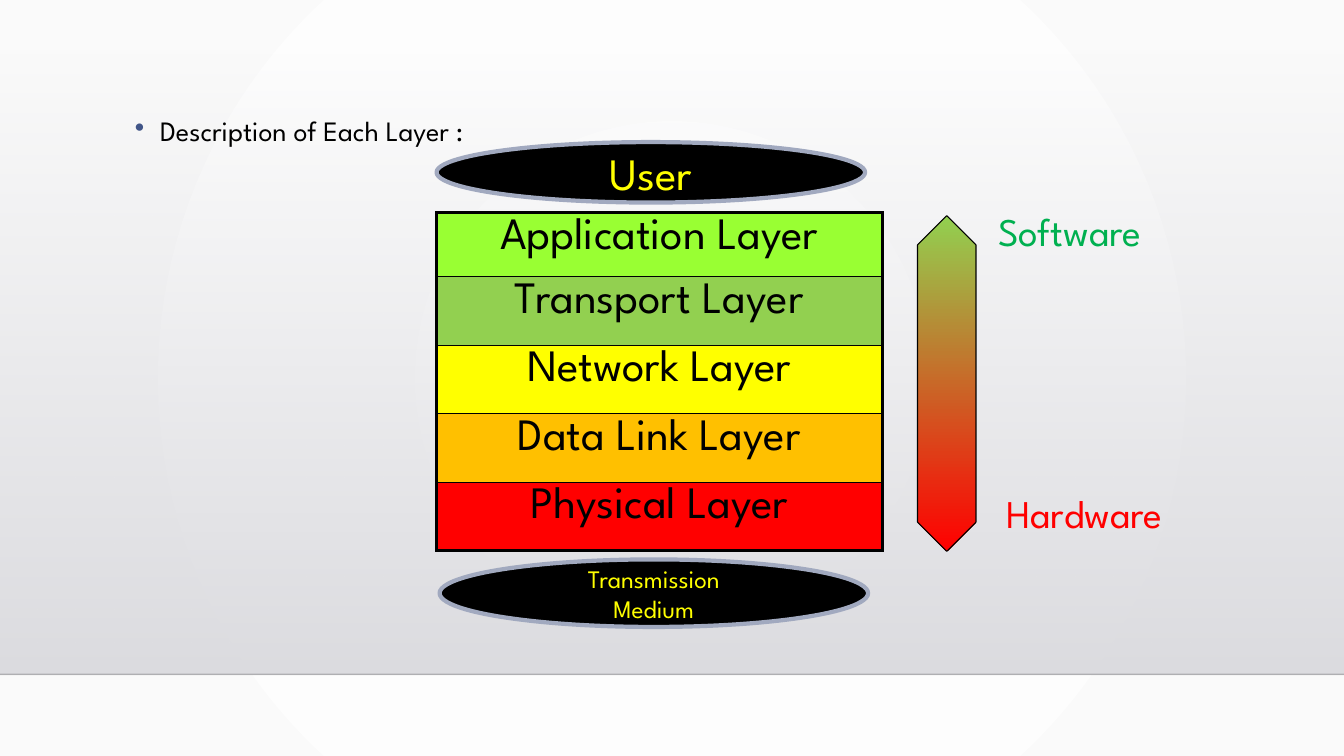
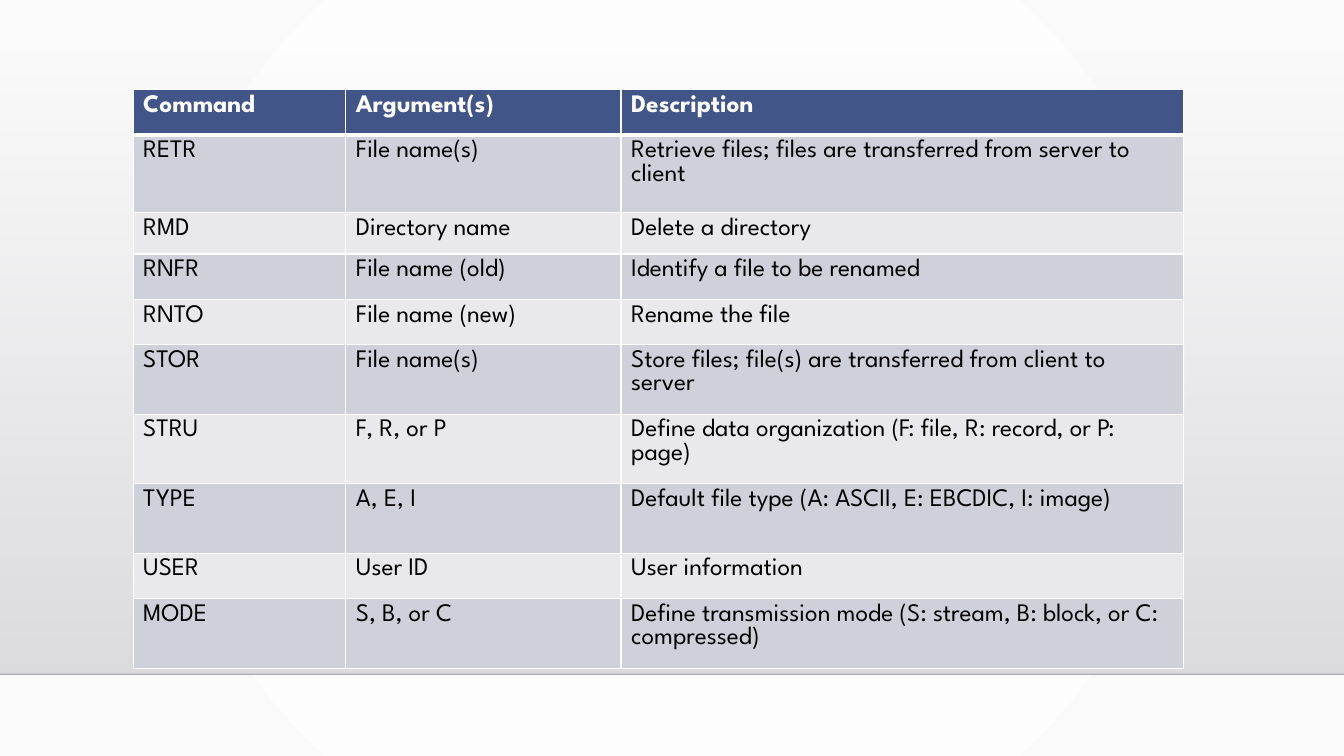
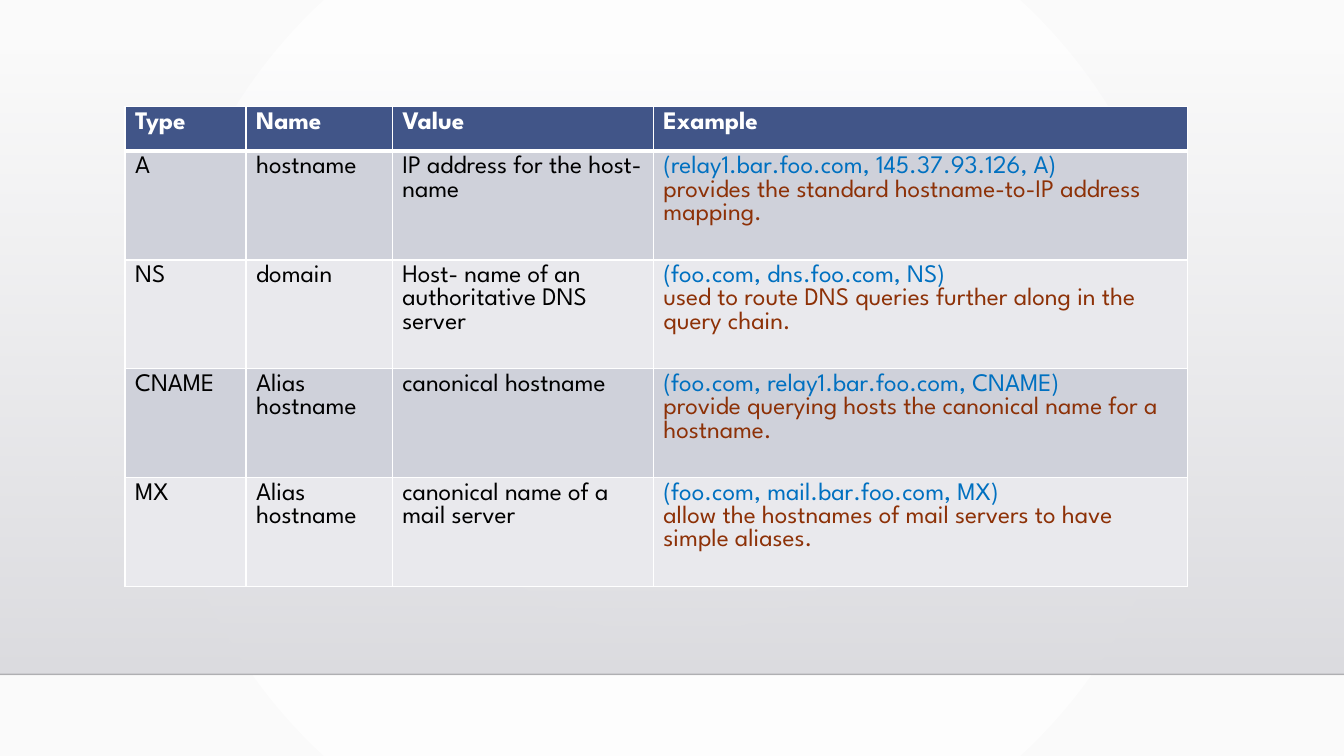
from dataclasses import dataclass
from typing import Any, NamedTuple, Optional

from lxml.etree import SubElement
from pptx import Presentation
from pptx.dml.color import RGBColor
from pptx.enum.shapes import MSO_CONNECTOR, MSO_SHAPE
from pptx.enum.text import MSO_ANCHOR, MSO_AUTO_SIZE, PP_ALIGN
from pptx.oxml import parse_xml
from pptx.oxml.ns import nsdecls, qn
from pptx.util import Emu, Pt


@dataclass(frozen=True)
class Theme:
    font: str = "League Spartan"
    black: str = "000000"
    white: str = "FFFFFF"
    page_edge: str = "FAFAFA"
    band_top: str = "DCDCE0"
    band_bottom: str = "DEDEE2"
    rule: str = "000001"
    accent: str = "415588"
    outline: str = "A1A9BF"
    odd_row: str = "CFD1DA"
    even_row: str = "E9E9ED"
    yellow: str = "FFFF00"
    green: str = "92D050"
    red: str = "FF0000"
    software: str = "00B050"
    record: str = "0070C0"
    remark: str = "8D3107"
    large: int = 32
    label: int = 28
    heading: int = 20
    body: int = 18


THEME = Theme()
EMU_PER_PX = 9144  # 100 px to the inch
SLIDE_WIDTH, SLIDE_HEIGHT = 1333, 750


class Box(NamedTuple):
    left: int
    top: int
    width: int
    height: int


class Stop(NamedTuple):
    position: int
    color: str
    opacity: int = 100


class Layer(NamedTuple):
    name: str
    color: str
    height: int


class Endpoint(NamedTuple):
    text: str
    box: Box
    size: int


class Label(NamedTuple):
    text: str
    box: Box
    color: str


class Column(NamedTuple):
    header: str
    width: int
    colors: tuple[str, ...] = (THEME.black,)  # one per paragraph


class Row(NamedTuple):
    height: int
    values: tuple[str, ...]


class Edges(NamedTuple):
    left: float
    right: float
    top: float
    bottom: float


def px(length: int) -> Emu:
    return Emu(length * EMU_PER_PX)


def place(box: Box) -> tuple[Emu, ...]:
    return tuple(px(length) for length in box)


def rgb(color: str) -> RGBColor:
    return RGBColor.from_string(color)


# Text and fills
def write(paragraph: Any, text: str, size: int, color: str, bold: bool = False,
          align: PP_ALIGN = PP_ALIGN.LEFT) -> None:
    paragraph.text = text
    paragraph.alignment = align
    font_format = {"name": THEME.font, "size": Pt(size), "bold": bold}
    for run in paragraph.runs:
        for name, value in font_format.items():
            setattr(run.font, name, value)
        run.font.color.rgb = rgb(color)


def fill_gradient(fill: Any, element: Any, stops: list[Stop], radial: bool = False) -> None:
    fill.gradient()
    gradient = next(element.iter(qn("a:gradFill")))
    for child in list(gradient):
        gradient.remove(child)
    stop_list = SubElement(gradient, qn("a:gsLst"))
    for stop in stops:
        entry = SubElement(stop_list, qn("a:gs"), pos=str(stop.position * 1000))
        color = SubElement(entry, qn("a:srgbClr"), val=stop.color)
        if stop.opacity < 100:
            SubElement(color, qn("a:alpha"), val=str(stop.opacity * 1000))
    if radial:
        circle = SubElement(gradient, qn("a:path"), {"path": "circle"})
        SubElement(circle, qn("a:fillToRect"), {side: "50000" for side in "ltrb"})
    else:
        SubElement(gradient, qn("a:lin"), ang="5400000", scaled="0")


def add_plain_shape(slide: Any, kind: MSO_SHAPE, box: Box) -> Any:
    shape = slide.shapes.add_shape(kind, *place(box))
    shape.shadow.inherit = False
    return shape


# Shared backdrop: radial page, grey band and the rule under it
def add_slide(presentation: Any) -> Any:
    slide = presentation.slides.add_slide(presentation.slide_layouts[6])
    fill_gradient(slide.background.fill, slide.element,
                  [Stop(0, THEME.white), Stop(100, THEME.page_edge)], radial=True)
    band = Box(0, 51, SLIDE_WIDTH, 618)
    shape = add_plain_shape(slide, MSO_SHAPE.RECTANGLE, band)
    fill_gradient(shape.fill, shape.element,
                  [Stop(0, THEME.band_top, 0), Stop(100, THEME.band_bottom)])
    shape.line.fill.background()

    rule_y = px(band.top + band.height)
    rule = slide.shapes.add_connector(MSO_CONNECTOR.STRAIGHT, 0, rule_y, px(SLIDE_WIDTH), rule_y)
    rule.line.width = Pt(1)
    rule.line.color.rgb = rgb(THEME.rule)
    SubElement(next(rule.element.iter(qn("a:srgbClr"))), qn("a:alpha"), val="20000")
    SubElement(rule.element.spPr, qn("a:effectLst"))
    return slide


# Tables
def set_borders(cell: Any, edges: Edges, color: str) -> None:
    properties = cell._tc.get_or_add_tcPr()
    for index, (side, width) in enumerate(zip("LRTB", edges)):
        properties.insert(index, parse_xml(
            f'<a:ln{side} {nsdecls("a")} w="{Pt(width)}"><a:solidFill>'
            f'<a:srgbClr val="{color}"/></a:solidFill></a:ln{side}>'))


def fill_cell(cell: Any, color: str) -> None:
    cell.fill.solid()
    cell.fill.fore_color.rgb = rgb(color)


def add_grid(slide: Any, left: int, top: int, widths: list[int], heights: list[int]) -> Any:
    box = Box(left, top, sum(widths), sum(heights))
    table = slide.shapes.add_table(len(heights), len(widths), *place(box)).table
    table.first_row = table.horz_banding = False
    for column, width in zip(table.columns, widths):
        column.width = px(width)
    for row, height in zip(table.rows, heights):
        row.height = px(height)
    return table


def add_data_table(slide: Any, left: int, top: int, header_height: int,
                   columns: list[Column], rows: list[Row]) -> None:
    header = Row(header_height, tuple(column.header for column in columns))
    all_rows = [header, *rows]
    table = add_grid(slide, left, top, [column.width for column in columns],
                     [row.height for row in all_rows])
    for row_index, row in enumerate(all_rows):
        is_header = row_index == 0
        band = THEME.odd_row if row_index % 2 else THEME.even_row
        edges = Edges(1, 1, 3 if row_index == 1 else 1, 3 if is_header else 1)
        for column_index, (column, value) in enumerate(zip(columns, row.values)):
            cell = table.cell(row_index, column_index)
            fill_cell(cell, THEME.accent if is_header else band)
            set_borders(cell, edges, THEME.white)
            cell.text = value
            for index, paragraph in enumerate(cell.text_frame.paragraphs):
                color = THEME.white if is_header else column.colors[index]
                write(paragraph, paragraph.text, THEME.body, color, bold=is_header)


# Slide 1: the layer stack
LAYERS = [
    Layer("Application Layer", "99FF33", 57),
    Layer("Transport Layer", THEME.green, 68),
    Layer("Network Layer", THEME.yellow, 68),
    Layer("Data Link Layer", "FFC000", 68),
    Layer("Physical Layer", THEME.red, 68),
]
ENDPOINTS = [
    Endpoint("User", Box(433, 141, 425, 60), THEME.large),
    Endpoint("Transmission\nMedium", Box(436, 555, 425, 67), THEME.body),
]
LABELS = [
    Label("Hardware", Box(988, 481, 209, 57), THEME.red),
    Label("Software", Box(980, 201, 188, 57), THEME.software),
]


def add_text_box(slide: Any, box: Box, wrap: bool, grow: bool = False) -> Any:
    frame = slide.shapes.add_textbox(*place(box)).text_frame
    frame.word_wrap = wrap
    if grow:
        frame.auto_size = MSO_AUTO_SIZE.SHAPE_TO_FIT_TEXT
    return frame


def add_bullet_heading(slide: Any, text: str) -> None:
    frame = add_text_box(slide, Box(124, 87, 1050, 511), wrap=True)
    frame.margin_top = px(19)
    paragraph = frame.paragraphs[0]
    write(paragraph, text, THEME.heading, THEME.black)
    paragraph.line_spacing = 1.2
    properties = paragraph._p.get_or_add_pPr()
    properties.set("marL", str(px(25)))
    properties.set("indent", str(px(-25)))
    SubElement(SubElement(properties, qn("a:buClr")), qn("a:srgbClr"), val=THEME.accent)
    SubElement(properties, qn("a:buChar"), char="•")


def add_layer_stack(slide: Any) -> None:
    table = add_grid(slide, 433, 211, [442], [layer.height for layer in LAYERS])
    last = len(LAYERS) - 1
    for index, layer in enumerate(LAYERS):
        cell = table.cell(index, 0)
        fill_cell(cell, layer.color)
        edges = Edges(2.25, 2.25, 2.25 if index == 0 else 1, 2.25 if index == last else 1)
        set_borders(cell, edges, THEME.black)
        write(cell.text_frame.paragraphs[0], layer.name, THEME.large, THEME.black,
              align=PP_ALIGN.CENTER)


def add_endpoint(slide: Any, endpoint: Endpoint) -> None:
    shape = add_plain_shape(slide, MSO_SHAPE.OVAL, endpoint.box)
    shape.fill.solid()
    shape.fill.fore_color.rgb = rgb(THEME.black)
    shape.line.color.rgb = rgb(THEME.outline)
    shape.line.width = Pt(3)
    shape.text_frame.word_wrap = False
    shape.text_frame.vertical_anchor = MSO_ANCHOR.MIDDLE
    write(shape.text_frame.paragraphs[0], endpoint.text.replace("\n", "\v"), endpoint.size,
          THEME.yellow, align=PP_ALIGN.CENTER)


def add_software_arrow(slide: Any) -> None:
    arrow = add_plain_shape(slide, MSO_SHAPE.UP_DOWN_ARROW, Box(910, 214, 58, 333))
    arrow.adjustments[0], arrow.adjustments[1] = 0.5, 1.14
    fill_gradient(arrow.fill, arrow.element, [Stop(0, THEME.green), Stop(100, THEME.red)])
    arrow.line.color.rgb = rgb(THEME.black)
    arrow.line.width = Pt(0.75)


def build_layers(slide: Any) -> None:
    add_bullet_heading(slide, "Description of Each Layer :")
    add_layer_stack(slide)
    for endpoint in ENDPOINTS:
        add_endpoint(slide, endpoint)
    add_software_arrow(slide)
    for label in LABELS:
        frame = add_text_box(slide, label.box, wrap=False, grow=True)
        write(frame.paragraphs[0], label.text, THEME.label, label.color)


# Slide 2: file transfer commands
COMMAND_COLUMNS = [Column("Command", 211), Column("Argument(s)", 273), Column("Description", 558)]
COMMANDS = [
    Row(77, ("RETR", "File name(s)",
             "Retrieve files; files are transferred from server to client")),
    Row(41, ("RMD", "Directory name", "Delete a directory")),
    Row(45, ("RNFR", "File name (old)", "Identify a file to be renamed")),
    Row(45, ("RNTO", "File name (new)", "Rename the file")),
    Row(69, ("STOR", "File name(s)",
             "Store files; file(s) are transferred from client to server")),
    Row(69, ("STRU", "F, R, or P", "Define data organization (F: file, R: record, or P: page)")),
    Row(69, ("TYPE", "A, E, I", "Default file type (A: ASCII, E: EBCDIC, I: image)")),
    Row(45, ("USER", "User ID", "User information")),
    Row(69, ("MODE", "S, B, or C",
             "Define transmission mode (S: stream, B: block, or C: compressed)")),
]

# Slide 3: name service records
RECORD_COLUMNS = [
    Column("Type", 120),
    Column("Name", 145, (THEME.black, THEME.black)),
    Column("Value", 259),
    Column("Example", 530, (THEME.record, THEME.remark)),
]
RECORDS = [Row(108, values) for values in (
    ("A", "hostname", "IP address for the host-name",
     "(relay1.bar.foo.com, 145.37.93.126, A)\n"
     "provides the standard hostname-to-IP address mapping."),
    ("NS", "domain", "Host- name of an authoritative DNS server",
     "(foo.com, dns.foo.com, NS)\n"
     "used to route DNS queries further along in the query chain."),
    ("CNAME", "Alias\nhostname", "canonical hostname",
     "(foo.com, relay1.bar.foo.com, CNAME)\n"
     "provide querying hosts the canonical name for a hostname."),
    ("MX", "Alias hostname", "canonical name of a mail server",
     "(foo.com, mail.bar.foo.com, MX)\n"
     "allow the hostnames of mail servers to have simple aliases."),
)]


def main() -> None:
    presentation = Presentation()
    presentation.slide_width = px(SLIDE_WIDTH)
    presentation.slide_height = px(SLIDE_HEIGHT)
    build_layers(add_slide(presentation))
    add_data_table(add_slide(presentation), 132, 89, 45, COMMAND_COLUMNS, COMMANDS)
    add_data_table(add_slide(presentation), 124, 106, 44, RECORD_COLUMNS, RECORDS)
    presentation.save("out.pptx")


if __name__ == "__main__":
    main()
